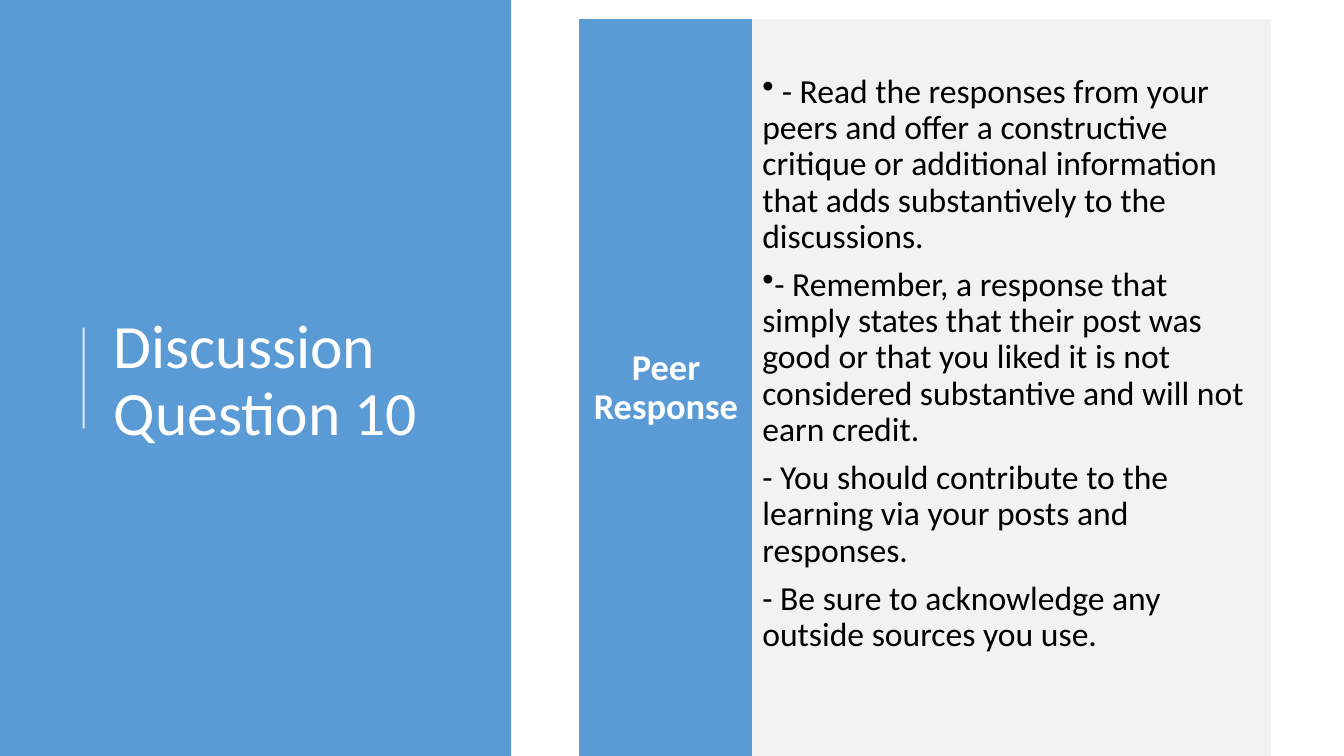
from lxml.etree import SubElement
from pptx import Presentation
from pptx.dml.color import RGBColor
from pptx.enum.shapes import MSO_CONNECTOR as Connector, MSO_SHAPE as Shape
from pptx.enum.text import MSO_ANCHOR as Anchor, PP_ALIGN as Align
from pptx.oxml.ns import qn
from pptx.util import Inches, Pt

SLIDE_W, SLIDE_H = 13.33, 7.5
BLUE, GREY, WHITE, BLACK = "5B9BD5", "F2F2F2", "FFFFFF", "000000"
LINE_SPACING = 0.9
GAP_SHARE = 0.35  # paragraph gap as a share of the text size

GUIDELINES = [  # (bulleted, text)
    (True, " - Read the responses from your peers and offer a constructive critique or "
           "additional information that adds substantively to the discussions."),
    (True, "- Remember, a response that simply states that their post was good or that "
           "you liked it is not considered substantive and will not earn credit."),
    (False, "- You should contribute to the learning via your posts and responses."),
    (False, "- Be sure to acknowledge any outside sources you use."),
]


def colour(hex_code):
    return RGBColor.from_string(hex_code)


def add_panel(slide, box, fill, outlined=True):
    panel = slide.shapes.add_shape(Shape.RECTANGLE, *map(Inches, box))
    panel.shadow.inherit = False
    panel.fill.solid()
    panel.fill.fore_color.rgb = colour(fill)
    if outlined:
        panel.line.color.rgb = colour(fill)
        panel.line.width = Pt(1)
    else:
        panel.line.fill.background()
    return panel


def write(frame, paragraphs, size, hex_code, margins, align=Align.LEFT, bold=False, gap=0):
    frame.word_wrap = True
    frame.vertical_anchor = Anchor.MIDDLE
    for side, margin in zip(("left", "top", "right", "bottom"), margins):
        setattr(frame, f"margin_{side}", Inches(margin))
    font_format = {"name": "Calibri", "size": Pt(size), "bold": bold}
    for index, (bulleted, text) in enumerate(paragraphs):
        paragraph = frame.add_paragraph() if index else frame.paragraphs[0]
        paragraph.alignment = align
        paragraph.line_spacing = LINE_SPACING
        paragraph.space_after = Pt(gap * size)
        if bulleted:
            bullet = SubElement(paragraph._p.get_or_add_pPr(), qn("a:buChar"))
            bullet.set("char", "•")
        run = paragraph.add_run()
        run.text = text
        for name, value in font_format.items():
            setattr(run.font, name, value)
        run.font.color.rgb = colour(hex_code)


def add_title_panel(slide, left, top, width, height):
    add_panel(slide, (left, top, width, height), BLUE, outlined=False)

    # Thin accent rule beside the title, centred on the panel
    rule_x, middle = left + 0.83, top + height / 2
    rule = slide.shapes.add_connector(
        Connector.STRAIGHT, *map(Inches, (rule_x, middle + 0.5, rule_x, middle - 0.5)))
    rule.line.color.rgb = colour(WHITE)
    rule.line.width = Pt(1.5)
    white = rule.line._ln.find(f".//{qn('a:srgbClr')}")
    SubElement(white, qn("a:alpha")).set("val", "80000")
    SubElement(rule._element.spPr, qn("a:effectLst"))

    # Title
    title = slide.shapes.add_textbox(
        *map(Inches, (left + 1.03, top + 0.78, 3.69, 6.02)))
    write(title.text_frame, [(False, "Discussion Question 10")], 44, WHITE,
          (0.1, 0.05, 0.1, 0.05))


def add_response_panel(slide, left, top, width, height):
    label_w = width / 4

    # Heading column
    label = add_panel(slide, (left, top, label_w, height), BLUE)
    write(label.text_frame, [(False, "Peer Response")], 26, WHITE,
          (0.12, 0.2, 0.12, 0.2), align=Align.CENTER, bold=True, gap=GAP_SHARE)

    # Guidelines, set slightly above the middle by a deeper bottom margin
    guidelines = add_panel(slide, (left + label_w, top, width - label_w, height), GREY)
    write(guidelines.text_frame, GUIDELINES, 24, BLACK,
          (0.1, 0.33, 0.1, 0.81), gap=GAP_SHARE)


def main():
    deck = Presentation()
    deck.slide_width, deck.slide_height = Inches(SLIDE_W), Inches(SLIDE_H)
    slide = deck.slides.add_slide(deck.slide_layouts[6])
    add_title_panel(slide, 0, 0, 5.07, SLIDE_H)
    add_response_panel(slide, 5.75, 0.2, 6.85, SLIDE_H - 0.2)
    deck.save("out.pptx")


if __name__ == "__main__":
    main()
